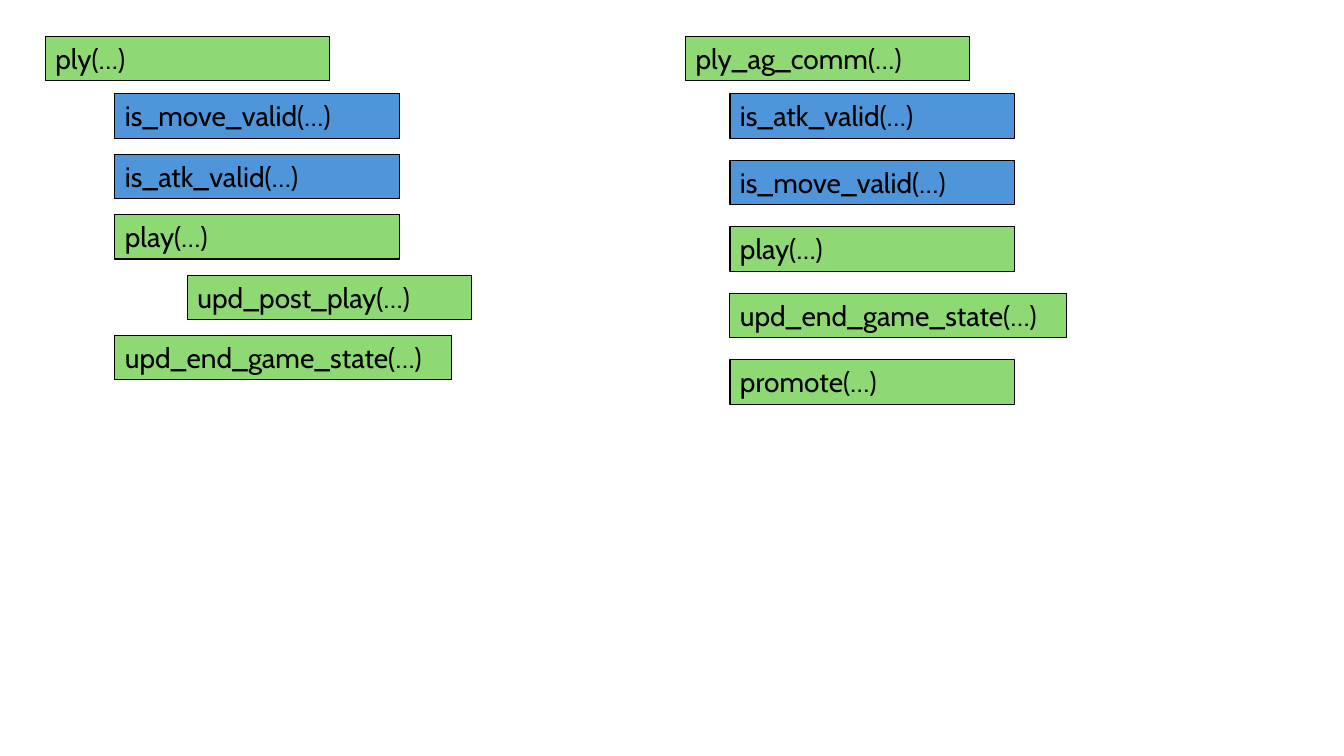
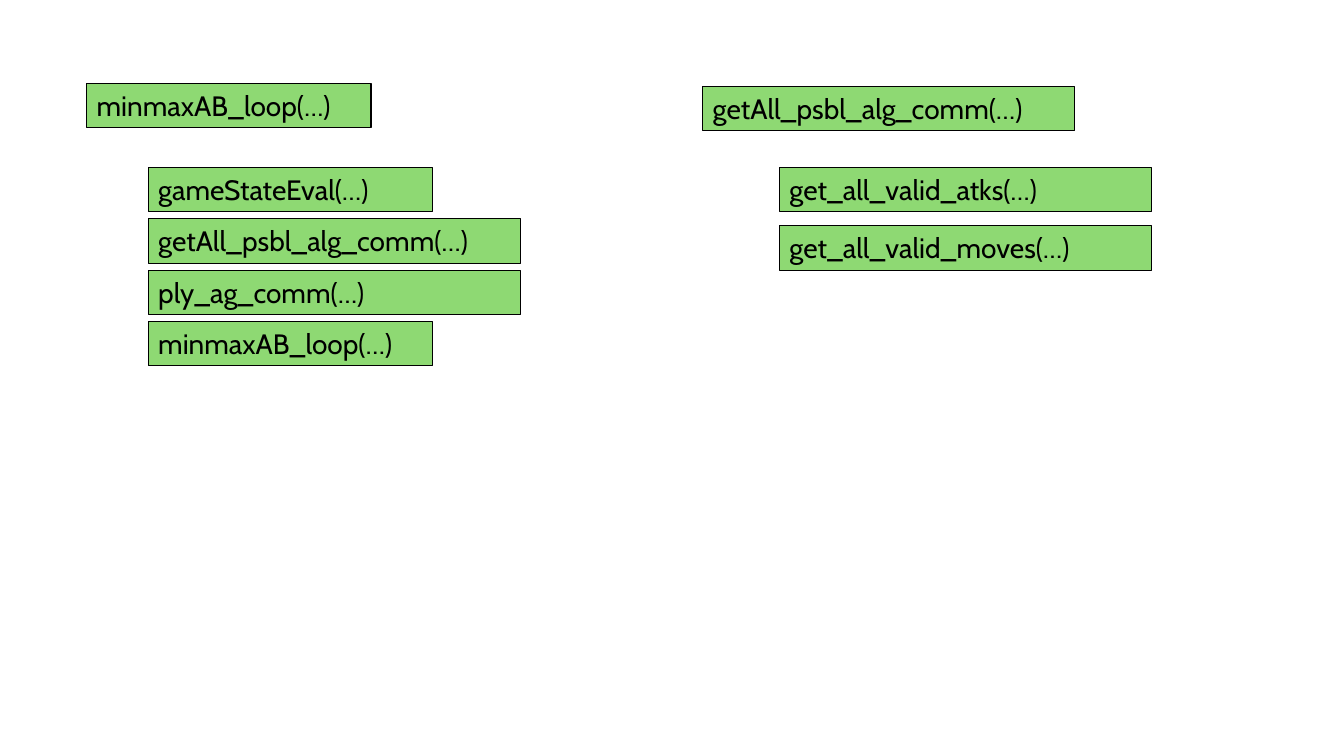
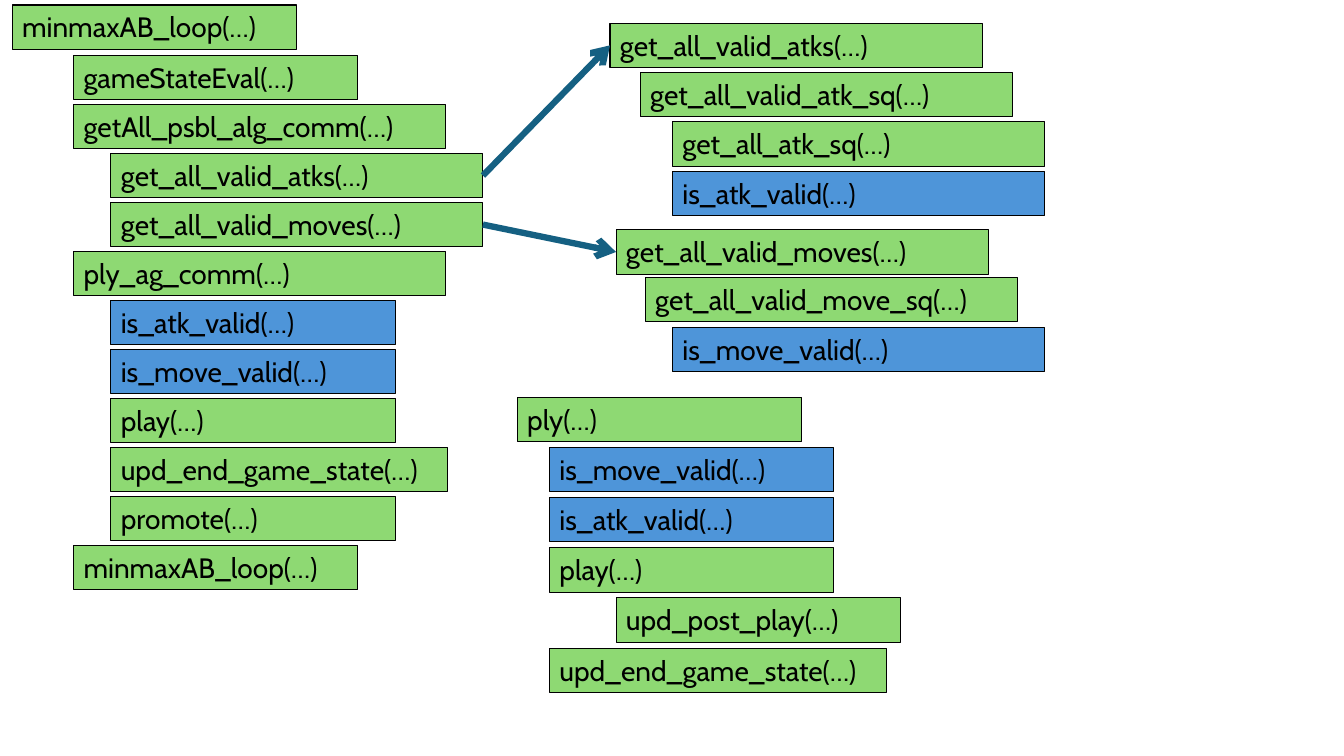
from dataclasses import dataclass
from typing import NamedTuple

from lxml import etree
from pptx import Presentation
from pptx.dml.color import RGBColor
from pptx.enum import shapes, text
from pptx.oxml import ns
from pptx.util import Inches, Pt


@dataclass(frozen=True)
class Theme:
    """Colours, type and box sizes shared by all slides."""
    font: str = "Cabin"
    size: int = 20
    ink: str = "000000"
    action: str = "8ED973"
    check: str = "4E95D9"
    arrow: str = "156082"
    border: float = 0.75
    arrow_width: float = 4.5
    box_height: float = 0.44


class Call(NamedTuple):
    """One function call: its name, nesting level and box width."""
    name: str
    level: int
    width: float


THEME = Theme()
NARROW, MEDIUM, WIDE = 2.82, 3.34, 3.69

PLY = [
    Call("ply", 0, NARROW),
    Call("is_move_valid", 1, NARROW),
    Call("is_atk_valid", 1, NARROW),
    Call("play", 1, NARROW),
    Call("upd_post_play", 2, NARROW),
    Call("upd_end_game_state", 1, MEDIUM),
]
PLY_AG_COMM = [
    Call("ply_ag_comm", 0, NARROW),
    Call("is_atk_valid", 1, NARROW),
    Call("is_move_valid", 1, NARROW),
    Call("play", 1, NARROW),
    Call("upd_end_game_state", 1, MEDIUM),
    Call("promote", 1, NARROW),
]
ALG_COMM = [
    Call("getAll_psbl_alg_comm", 0, WIDE),
    Call("get_all_valid_atks", 1, WIDE),
    Call("get_all_valid_moves", 1, WIDE),
]
MINMAX = [
    Call("minmaxAB_loop", 0, NARROW),
    Call("gameStateEval", 1, NARROW),
    Call("getAll_psbl_alg_comm", 1, WIDE),
    Call("ply_ag_comm", 1, WIDE),
    Call("minmaxAB_loop", 1, NARROW),
]
VALID_ATKS = [
    Call("get_all_valid_atks", 0, WIDE),
    Call("get_all_valid_atk_sq", 1, WIDE),
    Call("get_all_atk_sq", 2, WIDE),
    Call("is_atk_valid", 2, WIDE),
]
VALID_MOVES = [
    Call("get_all_valid_moves", 0, WIDE),
    Call("get_all_valid_move_sq", 1, WIDE),
    Call("is_move_valid", 2, WIDE),
]


def rgb(value):
    """Turn a hex string into a colour."""
    return RGBColor.from_string(value)


def expand(calls, **subtrees):
    """Insert the children of each named subtree below its call."""
    rows = []
    for call in calls:
        rows.append(call)
        for child in subtrees.get(call.name, [])[1:]:
            rows.append(child._replace(level=child.level + call.level))
    return rows


def call_box(slide, call, left, top):
    """Draw one call; validity checks get their own colour."""
    sp = slide.shapes.add_textbox(Inches(left), Inches(top),
                                  Inches(call.width), Inches(THEME.box_height))
    sp.fill.solid()
    is_check = call.name.startswith("is_")
    sp.fill.fore_color.rgb = rgb(THEME.check if is_check else THEME.action)
    sp.line.color.rgb = rgb(THEME.ink)
    sp.line.width = Pt(THEME.border)
    tf = sp.text_frame
    tf.word_wrap = True
    tf.auto_size = text.MSO_AUTO_SIZE.SHAPE_TO_FIT_TEXT
    r = tf.paragraphs[0].add_run()
    r.text = f"{call.name}(…)"
    r.font.name = THEME.font
    r.font.size = Pt(THEME.size)
    r.font.color.rgb = rgb(THEME.ink)
    return sp


def call_tree(slide, calls, left, tops, indents):
    """Draw a root and evenly spaced calls; tops are of root, first and last call."""
    root, first, last = tops
    pitch = (last - first) / (len(calls) - 2)
    boxes = {}
    for i, call in enumerate(calls):
        top = first + (i - 1) * pitch if i else root
        boxes[call.name] = call_box(slide, call, left + indents[call.level], top)
    return boxes


def link(slide, source, target):
    """Draw an arrow from the right of one box to the left of another."""
    cx = slide.shapes.add_connector(shapes.MSO_CONNECTOR.STRAIGHT, 0, 0, 0, 0)
    cx.begin_connect(source, 3)
    cx.end_connect(target, 1)
    cx.line.color.rgb = rgb(THEME.arrow)
    cx.line.width = Pt(THEME.arrow_width)
    etree.SubElement(cx.line._get_or_add_ln(), ns.qn("a:tailEnd"), type="arrow")
    etree.SubElement(cx._element.spPr, ns.qn("a:effectLst"))


def ply_slide(slide):
    """Show the two ways to play a ply."""
    call_tree(slide, PLY, 0.45, (0.36, 0.93, 3.33), (0, 0.69, 1.41))
    call_tree(slide, PLY_AG_COMM, 6.8, (0.36, 0.93, 3.57), (0, 0.44))


def search_slide(slide):
    """Show the search loop and the move generator."""
    call_tree(slide, MINMAX, 0.86, (0.83, 1.66, 3.19), (0, 0.61))
    call_tree(slide, ALG_COMM, 6.97, (0.86, 1.66, 2.24), (0, 0.76))


def overview_slide(slide):
    """Show the full search tree linked to its generators."""
    search = expand(MINMAX, getAll_psbl_alg_comm=ALG_COMM, ply_ag_comm=PLY_AG_COMM)
    loop = call_tree(slide, search, 0.12, (0.05, 0.55, 5.41), (0, 0.61, 0.98))
    call_tree(slide, PLY, 5.13, (3.94, 4.44, 6.43), (0, 0.32, 0.98))
    atks = call_tree(slide, VALID_ATKS, 6.05, (0.23, 0.72, 1.7), (0, 0.3, 0.62))
    moves = call_tree(slide, VALID_MOVES, 6.11, (2.28, 2.75, 3.25), (0, 0.29, 0.56))
    for name, tree in (("get_all_valid_atks", atks), ("get_all_valid_moves", moves)):
        link(slide, loop[name], tree[name])


def main():
    """Build and save the deck."""
    prs = Presentation()
    prs.slide_width, prs.slide_height = Inches(13.33), Inches(7.5)
    for build in (ply_slide, search_slide, overview_slide):
        build(prs.slides.add_slide(prs.slide_layouts[6]))
    prs.save("out.pptx")


if __name__ == "__main__":
    main()
